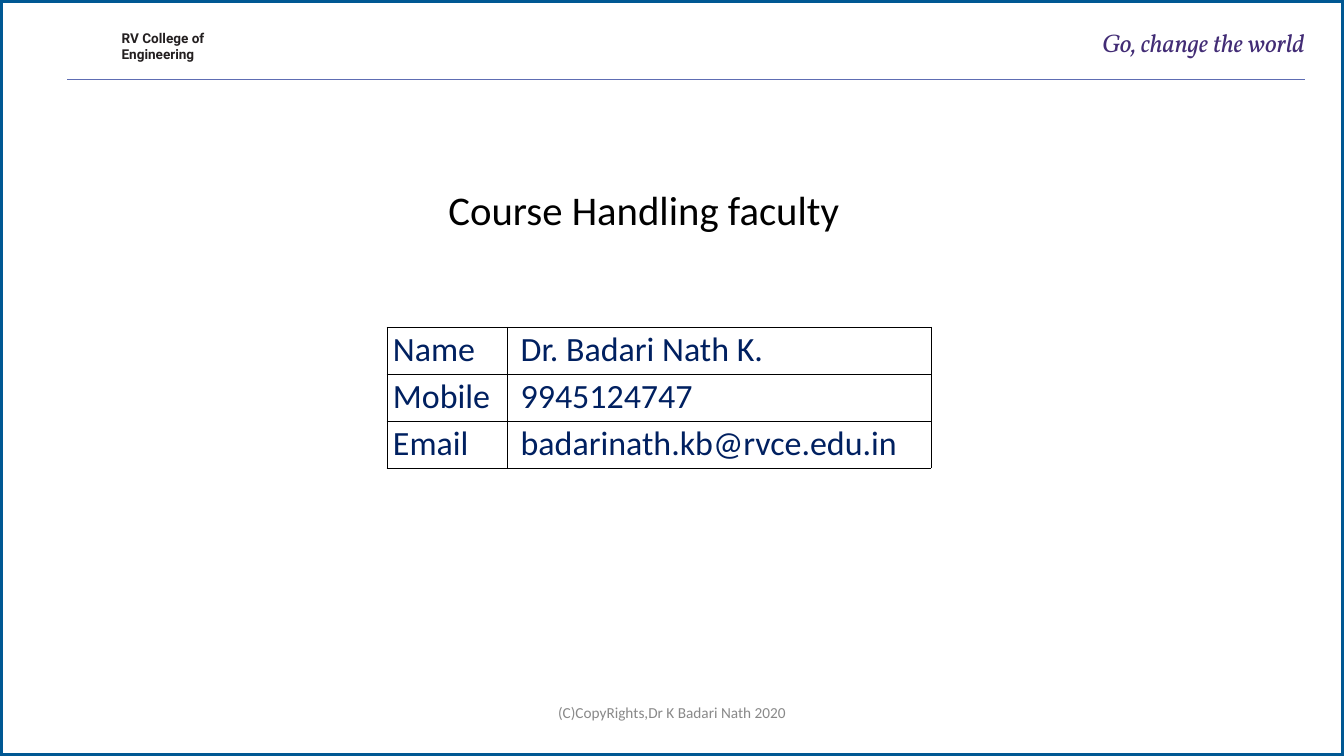
from dataclasses import dataclass

import lxml.etree
import pptx
import pptx.dml.color
import pptx.enum.shapes
import pptx.enum.text
import pptx.oxml.ns
import pptx.slide
import pptx.table
import pptx.text.text
import pptx.util

Inches = pptx.util.Inches
Pt = pptx.util.Pt
RGBColor = pptx.dml.color.RGBColor
Align = pptx.enum.text.PP_ALIGN

WHITE = RGBColor(0xFF, 0xFF, 0xFF)
BLACK = RGBColor(0x00, 0x00, 0x00)
FRAME_BLUE = RGBColor(0x00, 0x58, 0x93)
RULE_BLUE = RGBColor(0x5E, 0x6D, 0xB3)
COLLEGE_BLACK = RGBColor(0x23, 0x1F, 0x20)
MOTTO_PURPLE = RGBColor(0x42, 0x2C, 0x75)
TABLE_NAVY = RGBColor(0x00, 0x20, 0x60)
FOOTER_GREY = RGBColor(0x89, 0x89, 0x89)

SLIDE_WIDTH = 21.99
SLIDE_HEIGHT = 12.37


@dataclass(frozen=True)
class Style:
    font: str
    size: float
    color: RGBColor
    bold: bool = False
    italic: bool = False


@dataclass(frozen=True)
class Label:
    lines: tuple[str, ...]
    left: float
    top: float
    width: float
    height: float
    style: Style
    align: Align = Align.LEFT
    inset_top: float = 0
    line_pitch: float | None = None
    space_before: float = 0


@dataclass(frozen=True)
class Contact:
    field: str
    value: str


LABELS = (
    Label(("RV College of", "Engineering"), 1.99, 0.49, 1.5, 0.53,
          Style("Roboto", 16, COLLEGE_BLACK, bold=True),
          inset_top=0.02, line_pitch=17.9, space_before=1.4),
    Label(("Course Handling faculty",), 6.91, 3.02, 7.25, 0.81,
          Style("Calibri", 48, BLACK), Align.CENTER, inset_top=0.01),
    Label(("Go, change the world",), 17.33, 0.45, 4.02, 0.51,
          Style("Vollkorn", 30, MOTTO_PURPLE, italic=True), Align.RIGHT),
    Label(("(C)CopyRights,Dr K Badari Nath 2020",), 7.48, 11.5, 7.03, 0.3,
          Style("Calibri", 18, FOOTER_GREY), Align.CENTER),
)

CONTACTS = (
    Contact("Name", "Dr. Badari Nath K."),
    Contact("Mobile", "9945124747"),
    Contact("Email", "badarinath.kb@rvce.edu.in"),
)
CONTACT_STYLE = Style("Calibri", 40, TABLE_NAVY)
COLUMN_WIDTHS = (1.97, 6.93)
COLUMN_INSETS = (0.1, 0.22)
ROW_HEIGHT = 0.77


def add_span(para: pptx.text.text._Paragraph, text: str, style: Style) -> None:
    span = para.add_run()
    span.text = text
    span.font.name = style.font
    span.font.size = Pt(style.size)
    span.font.bold = style.bold
    span.font.italic = style.italic
    span.font.color.rgb = style.color


def add_label(page: pptx.slide.Slide, label: Label) -> None:
    box = page.shapes.add_textbox(Inches(label.left), Inches(label.top),
                                  Inches(label.width), Inches(label.height))
    frame = box.text_frame
    frame.word_wrap = True
    frame.margin_left = frame.margin_right = frame.margin_bottom = 0
    frame.margin_top = Inches(label.inset_top)
    for index, line in enumerate(label.lines):
        para = frame.add_paragraph() if index else frame.paragraphs[0]
        para.alignment = label.align
        if label.line_pitch:
            para.line_spacing = Pt(label.line_pitch)
        if index:
            para.space_before = Pt(label.space_before)
        add_span(para, line, label.style)


def add_frame(page: pptx.slide.Slide) -> None:
    frame = page.shapes.add_shape(pptx.enum.shapes.MSO_SHAPE.RECTANGLE, 0, 0,
                                  Inches(SLIDE_WIDTH), Inches(SLIDE_HEIGHT))
    frame.shadow.inherit = False
    frame.fill.solid()
    frame.fill.fore_color.rgb = WHITE
    frame.line.color.rgb = FRAME_BLUE
    frame.line.width = Pt(6)


def add_header_rule(page: pptx.slide.Slide) -> None:
    rule = page.shapes.add_connector(pptx.enum.shapes.MSO_CONNECTOR.STRAIGHT,
                                     Inches(1.1), Inches(1.3), Inches(21.36), Inches(1.3))
    rule.line.color.rgb = RULE_BLUE
    rule.line.width = Pt(1.25)
    lxml.etree.SubElement(rule._element.spPr, pptx.oxml.ns.qn("a:effectLst"))


def add_borders(cell: pptx.table._Cell) -> None:
    properties = cell._tc.get_or_add_tcPr()
    for index, side in enumerate(("a:lnL", "a:lnR", "a:lnT", "a:lnB")):
        border = lxml.etree.Element(pptx.oxml.ns.qn(side), w=str(Pt(0.45)))
        fill = lxml.etree.SubElement(border, pptx.oxml.ns.qn("a:solidFill"))
        lxml.etree.SubElement(fill, pptx.oxml.ns.qn("a:srgbClr"), val=str(BLACK))
        properties.insert(index, border)


def add_contact_table(page: pptx.slide.Slide) -> None:
    graphic = page.shapes.add_table(len(CONTACTS), len(COLUMN_WIDTHS),
                                    Inches(6.33), Inches(5.35),
                                    Inches(sum(COLUMN_WIDTHS)),
                                    Inches(ROW_HEIGHT * len(CONTACTS)))
    table = graphic.table
    table.first_row = False
    table.horz_banding = False
    for column, width in zip(table.columns, COLUMN_WIDTHS):
        column.width = Inches(width)
    for row, contact in zip(table.rows, CONTACTS):
        row.height = Inches(ROW_HEIGHT)
        for cell, text, inset in zip(row.cells, (contact.field, contact.value), COLUMN_INSETS):
            cell.margin_left = Inches(inset)
            cell.margin_top = cell.margin_bottom = Inches(0.04)
            cell.fill.background()
            add_borders(cell)
            add_span(cell.text_frame.paragraphs[0], text, CONTACT_STYLE)


def main() -> None:
    deck = pptx.Presentation()
    deck.slide_width = Inches(SLIDE_WIDTH)
    deck.slide_height = Inches(SLIDE_HEIGHT)
    page = deck.slides.add_slide(deck.slide_layouts[6])
    add_frame(page)
    add_header_rule(page)
    for label in LABELS:
        add_label(page, label)
    add_contact_table(page)
    deck.save("out.pptx")


if __name__ == "__main__":
    main()
